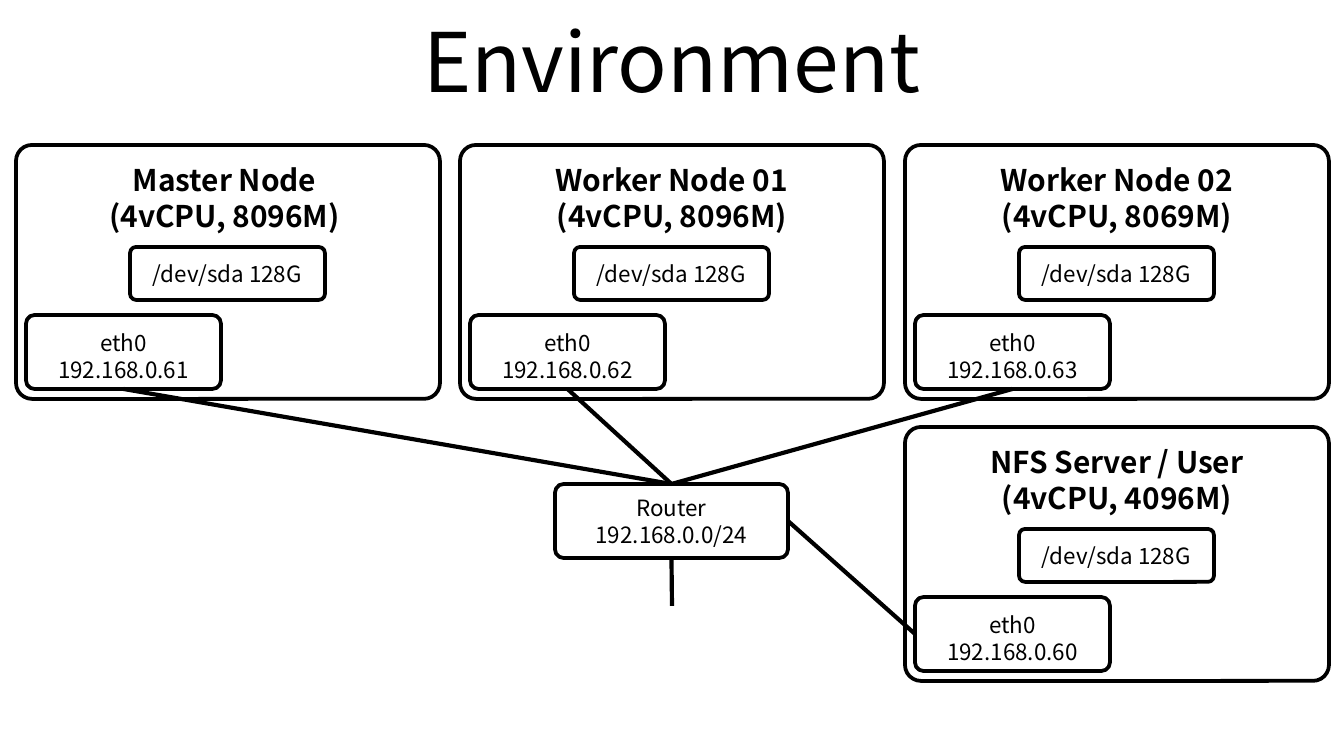
"""Build the Environment slide: cluster nodes joined by a router."""
from lxml.etree import SubElement
from pptx import Presentation
from pptx.dml.color import RGBColor
from pptx.enum.shapes import MSO_CONNECTOR, MSO_SHAPE
from pptx.enum.text import MSO_ANCHOR, PP_ALIGN
from pptx.oxml.ns import qn
from pptx.util import Pt

NODES = [
    (16, 145, ["Master Node ", "(4vCPU, 8096M) "], "192.168.0.61"),
    (460, 145, ["Worker Node 01", "(4vCPU, 8096M)"], "192.168.0.62"),
    (905, 145, ["Worker Node 02", "(4vCPU, 8069M)"], "192.168.0.63"),
    (905, 427, ["NFS Server / User", "(4vCPU, 4096M)"], "192.168.0.60"),
]
DISK = "/dev/sda 128G"
ROUTER = ["Router", "192.168.0.0/24"]
FONT = "Noto Sans CJK KR"
BLACK = RGBColor(0, 0, 0)
TOP, LEFT, BOTTOM, RIGHT = range(4)
INSET = 12


def px(pixels):
    return round(pixels * 914400 / 134.4)


def style_text(frame, lines, size, anchor, bold=False):
    frame.text = "\n".join(lines)
    frame.word_wrap = True
    frame.vertical_anchor = anchor
    frame.margin_left = frame.margin_right = px(INSET)
    frame.margin_top = frame.margin_bottom = px(INSET)
    for paragraph in frame.paragraphs:
        paragraph.alignment = PP_ALIGN.CENTER
        paragraph.font.name = FONT
        paragraph.font.size = Pt(size)
        paragraph.font.bold = bold
        paragraph.font.color.rgb = BLACK


def add_box(x, y, width, height, lines, size=12, radius=0.116,
            anchor=MSO_ANCHOR.MIDDLE, bold=False):
    box = slide.shapes.add_shape(MSO_SHAPE.ROUNDED_RECTANGLE,
                                 px(x), px(y), px(width), px(height))
    box.adjustments[0] = radius
    box.shadow.inherit = False
    box.fill.background()
    box.line.color.rgb = BLACK
    box.line.width = Pt(2)
    style_text(box.text_frame, lines, size, anchor, bold)
    return box


def add_link():
    link = slide.shapes.add_connector(MSO_CONNECTOR.STRAIGHT,
                                      px(672), px(606), px(672), px(558))
    link.line.color.rgb = BLACK
    link.line.width = Pt(2.25)
    SubElement(link._element.spPr, qn("a:effectLst"))
    return link


presentation = Presentation()
presentation.slide_width, presentation.slide_height = px(1344), px(756)
slide = presentation.slides.add_slide(presentation.slide_layouts[5])

title = slide.shapes.title
title.left, title.top, title.width, title.height = px(67), px(-3), px(1210), px(126)
style_text(title.text_frame, ["Environment"], 44, MSO_ANCHOR.MIDDLE)

router = add_box(555, 484, 233, 74, ROUTER)
add_link().end_connect(router, BOTTOM)

for x, y, heading, address in NODES:
    add_box(x, y, 424, 254, heading, 16, 0.063, MSO_ANCHOR.TOP, True)
    port = add_box(x + 10, y + 170, 195, 74, ["eth0", address], anchor=MSO_ANCHOR.TOP)
    add_box(x + 114, y + 102, 195, 53, [DISK])
    above_router = y < 400
    link = add_link()
    link.begin_connect(port, BOTTOM if above_router else LEFT)
    link.end_connect(router, TOP if above_router else RIGHT)

presentation.save("out.pptx")
